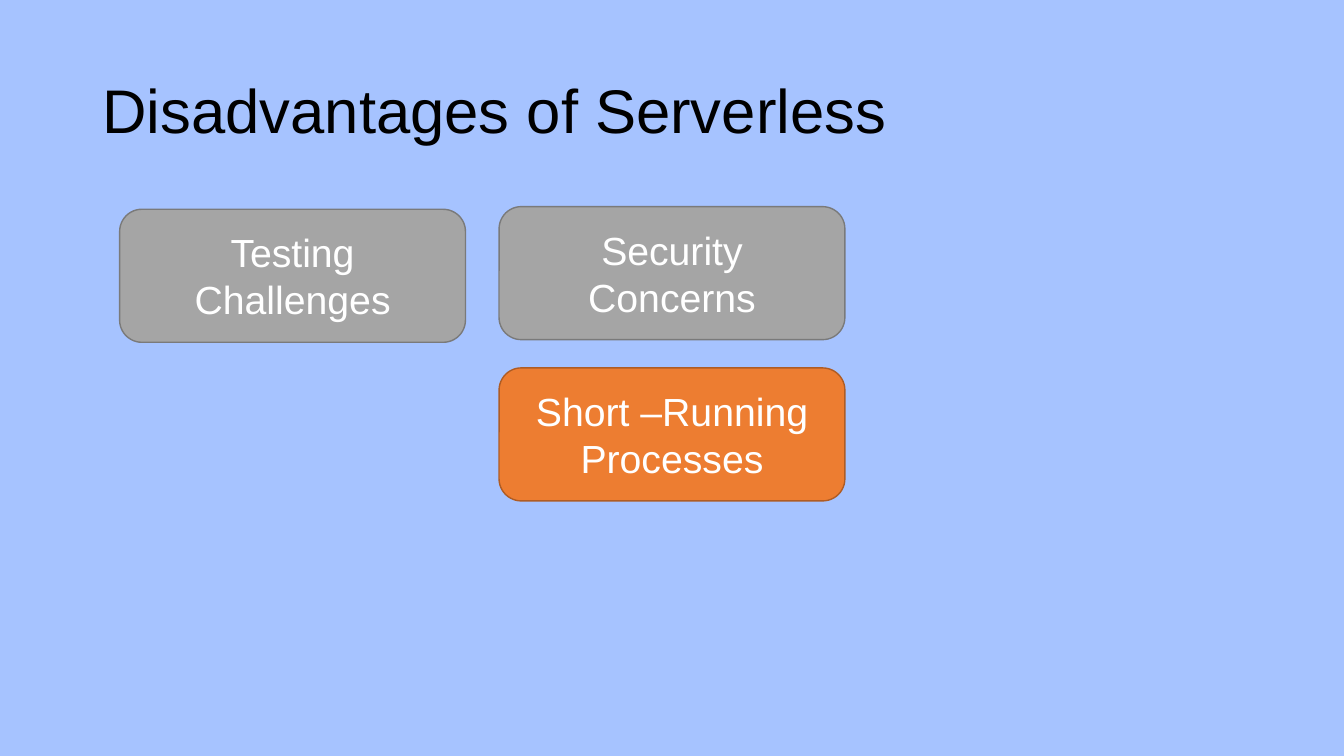
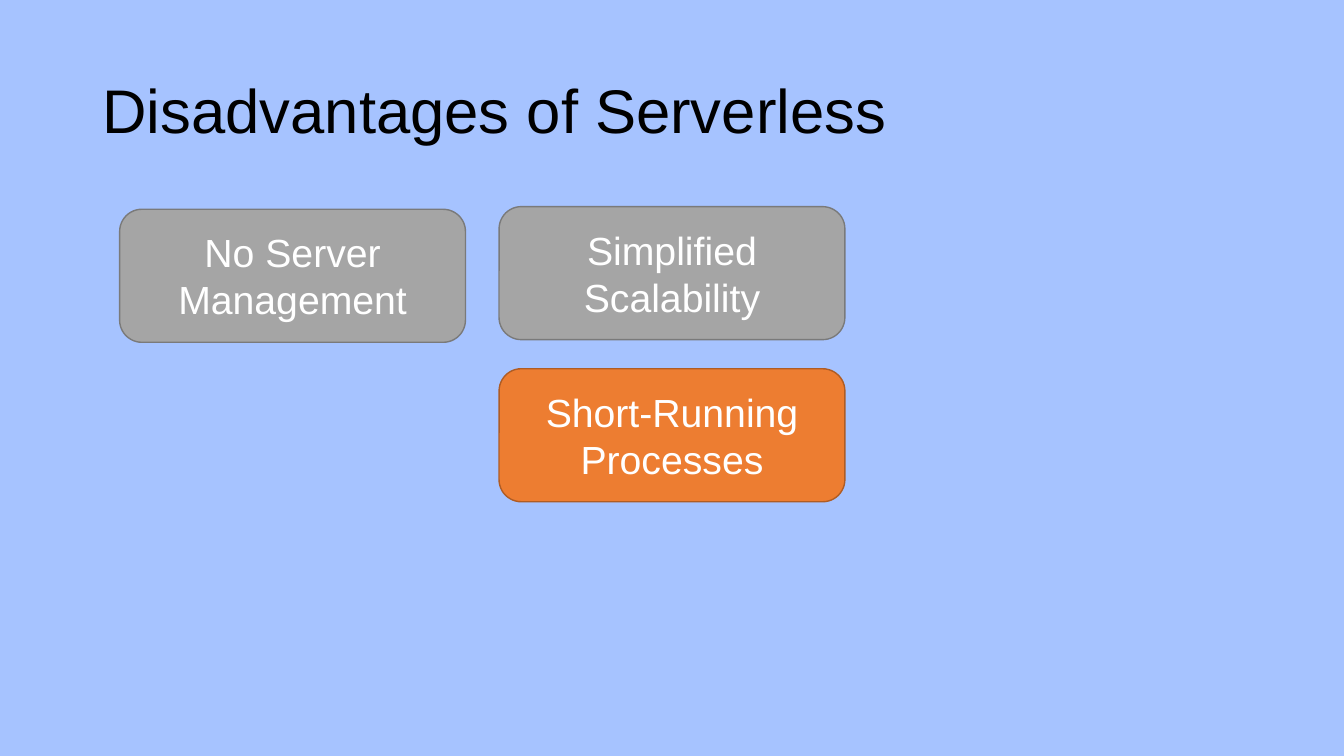
from dataclasses import dataclass

from pptx import Presentation
from pptx.dml.color import RGBColor
from pptx.enum import shapes, text
from pptx.util import Pt


@dataclass(frozen=True)
class Theme:
    font: str = "Arial"
    title_size: int = 44
    card_size: int = 28
    background: str = "A6C3FF"
    title_color: str = "000000"
    card_color: str = "FFFFFF"
    gray: tuple = ("A5A5A5", "7A7A7A")
    orange: tuple = ("ED7D31", "AF5C24")


theme = Theme()


def write(shape, words, size, color, alignment):
    shape.text_frame.word_wrap = True
    shape.text_frame.vertical_anchor = text.MSO_ANCHOR.MIDDLE
    paragraph = shape.text_frame.paragraphs[0]
    paragraph.alignment = alignment
    run = paragraph.add_run()
    run.text = words
    run.font.name = theme.font
    run.font.size = Pt(size)
    run.font.color.rgb = RGBColor.from_string(color)
    return paragraph


def add_card(slide, words, left, top, colors):
    shape = slide.shapes.add_shape(
        shapes.MSO_SHAPE.ROUNDED_RECTANGLE, Pt(left), Pt(top), Pt(247), Pt(95)
    )
    fill, line = colors
    shape.shadow.inherit = False
    shape.fill.solid()
    shape.fill.fore_color.rgb = RGBColor.from_string(fill)
    shape.line.color.rgb = RGBColor.from_string(line)
    shape.line.width = Pt(1)
    write(shape, words, theme.card_size, theme.card_color, text.PP_ALIGN.CENTER)


presentation = Presentation()
presentation.slide_width = Pt(960)
presentation.slide_height = Pt(540)
background = presentation.slide_master.background.fill
background.solid()
background.fore_color.rgb = RGBColor.from_string(theme.background)

left_column, right_column = 85.5, 356.5
slide_cards = [
    ("Testing Challenges", "Security Concerns", "Short –Running Processes", 262.8),
    ("No Server Management", "Simplified Scalability", "Short-Running Processes", 263.4),
]

for first, second, highlight, highlight_top in slide_cards:
    slide = presentation.slides.add_slide(presentation.slide_layouts[5])
    title = slide.shapes.title
    title.left, title.top, title.width, title.height = Pt(66), Pt(28.75), Pt(828), Pt(104.4)
    paragraph = write(
        title, "Disadvantages of Serverless", theme.title_size, theme.title_color, text.PP_ALIGN.LEFT
    )
    paragraph.line_spacing = 0.9
    add_card(slide, highlight, right_column, highlight_top, theme.orange)
    add_card(slide, first, left_column, 149.5, theme.gray)
    add_card(slide, second, right_column, 147.6, theme.gray)

presentation.save("out.pptx")
